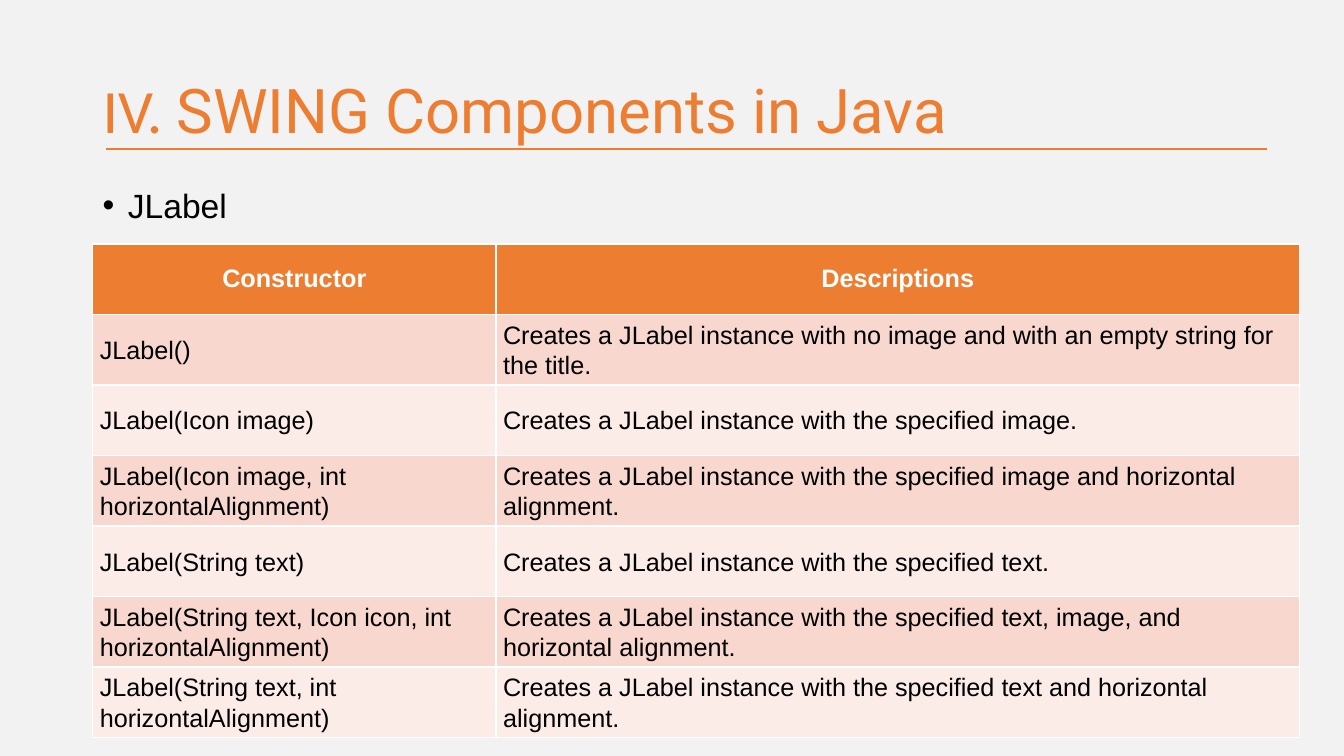
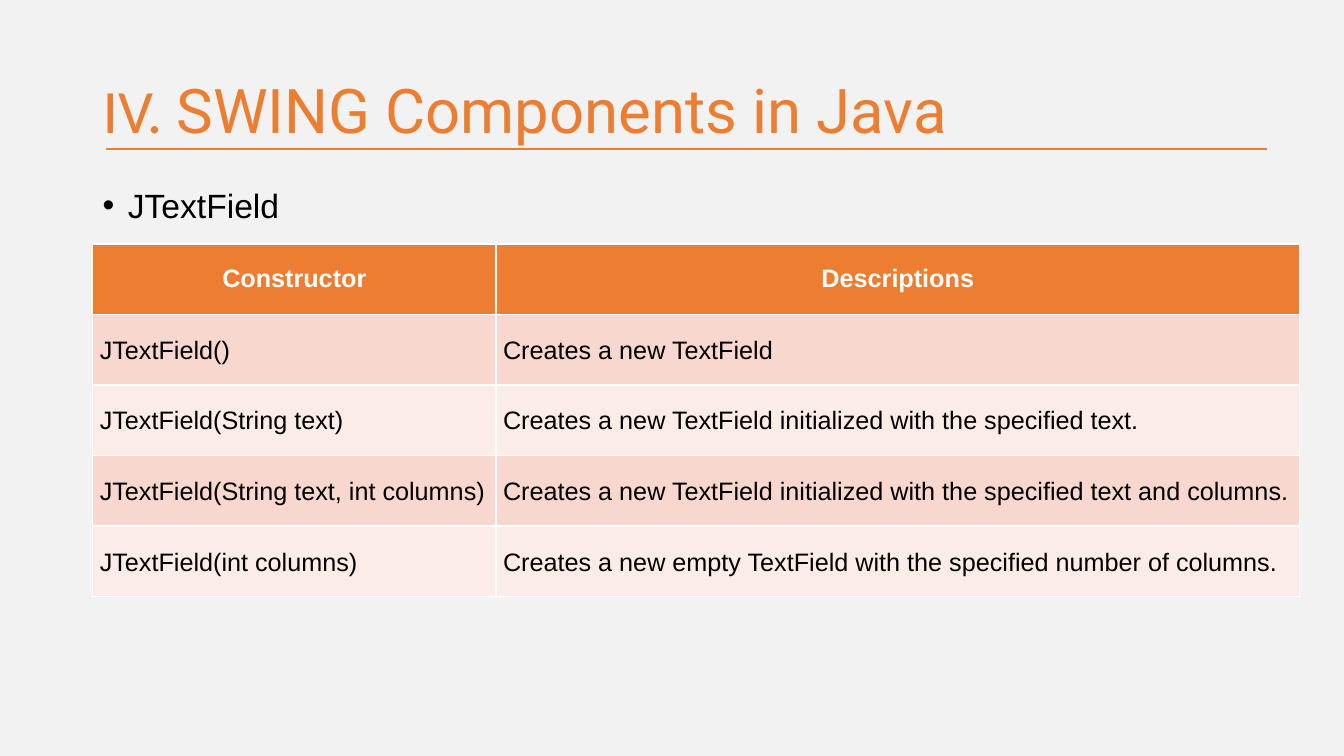
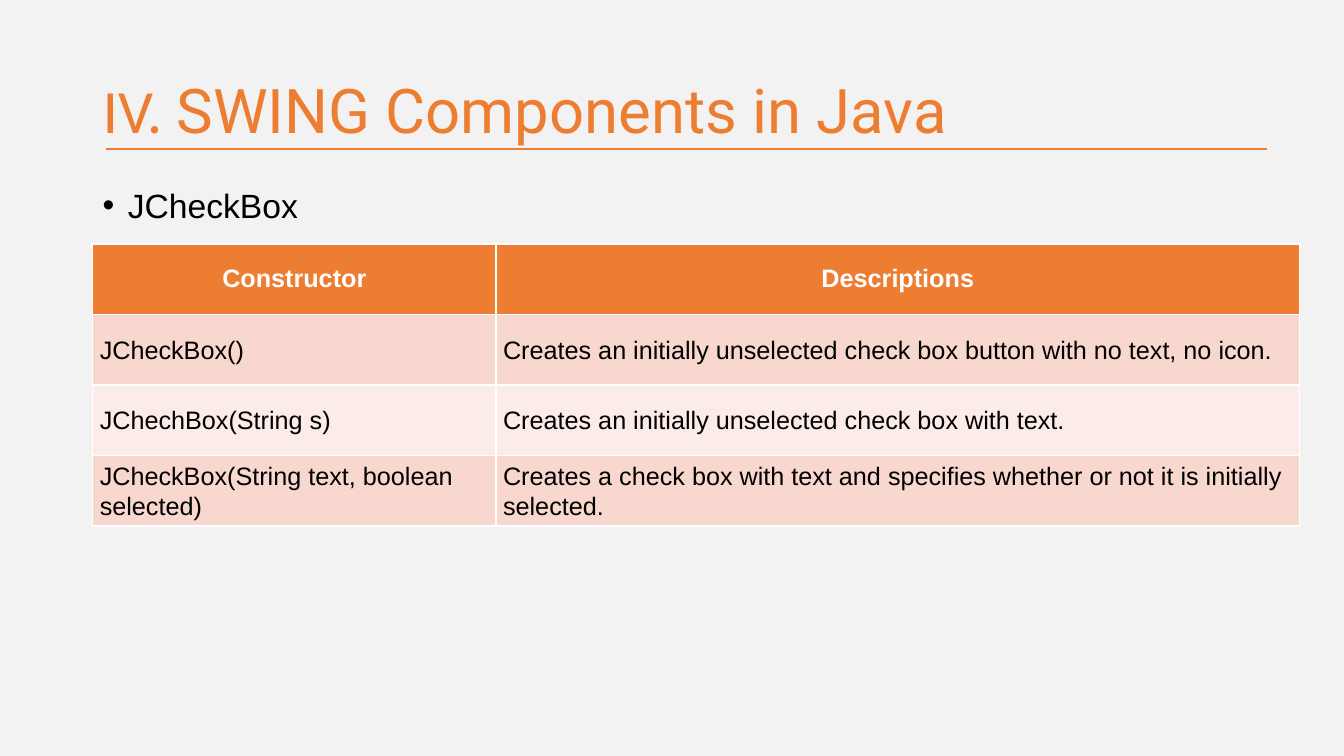
from lxml.etree import SubElement
from pptx import Presentation
from pptx.dml.color import RGBColor
from pptx.enum.shapes import MSO_CONNECTOR
from pptx.enum.text import MSO_ANCHOR, PP_ALIGN
from pptx.oxml.ns import qn
from pptx.util import Inches, Pt

ORANGE = RGBColor(0xED, 0x7D, 0x31)
PEACH = RGBColor(0xF8, 0xD7, 0xCE)
BLUSH = RGBColor(0xFC, 0xEC, 0xE8)
GREY = RGBColor(0xF2, 0xF2, 0xF2)
WHITE = RGBColor(0xFF, 0xFF, 0xFF)
BLACK = RGBColor(0x00, 0x00, 0x00)

WIDE, HIGH = Inches(13.33), Inches(7.5)
TITLE = [("IV. ", "Calibri"), ("SWING Components in Java", "Roboto")]
HEAD = ("Constructor", "Descriptions")
ROW = 9.33
SPLIT = 0.33

TOPICS = {
    "JLabel": [
        ("JLabel()", "Creates a JLabel instance with no image and with an empty string for the title."),
        ("JLabel(Icon image)", "Creates a JLabel instance with the specified image."),
        ("JLabel(Icon image, int horizontalAlignment)",
         "Creates a JLabel instance with the specified image and horizontal alignment."),
        ("JLabel(String text)", "Creates a JLabel instance with the specified text."),
        ("JLabel(String text, Icon icon, int horizontalAlignment)",
         "Creates a JLabel instance with the specified text, image, and horizontal alignment."),
        ("JLabel(String text, int horizontalAlignment)",
         "Creates a JLabel instance with the specified text and horizontal alignment."),
    ],
    "JTextField": [
        ("JTextField()", "Creates a new TextField"),
        ("JTextField(String text)", "Creates a new TextField initialized with the specified text."),
        ("JTextField(String text, int columns)",
         "Creates a new TextField initialized with the specified text and columns."),
        ("JTextField(int columns)", "Creates a new empty TextField with the specified number of columns."),
    ],
    "JCheckBox": [
        ("JCheckBox()", "Creates an initially unselected check box button with no text, no icon."),
        ("JChechBox(String s)", "Creates an initially unselected check box with text."),
        ("JCheckBox(String text, boolean selected)",
         "Creates a check box with text and specifies whether or not it is initially selected."),
    ],
}


def area(left, top, width, height):
    return [int(share * side / 100) for share, side in
            zip((left, top, width, height), (WIDE, HIGH, WIDE, HIGH))]


def style(run, size, color, name="Arial", bold=False):
    font = run.font
    font.size, font.name, font.bold = Pt(size), name, bold
    font.color.rgb = color


def add_title(slide, box):
    frame = slide.shapes.add_textbox(*box).text_frame
    frame.word_wrap = True
    frame.vertical_anchor = MSO_ANCHOR.MIDDLE
    para = frame.paragraphs[0]
    para.line_spacing = 0.9
    for text, name in TITLE:
        run = para.add_run()
        run.text = text
        style(run, 44, ORANGE, name)


def add_rule(slide, box):
    left, top, width, height = box
    rule = slide.shapes.add_connector(
        MSO_CONNECTOR.STRAIGHT, left, top, left + width, top + height)
    rule.line.color.rgb = ORANGE
    rule.line.width = Pt(1.5)
    SubElement(rule._element.spPr, qn("a:effectLst"))


def add_topic(slide, box, text):
    frame = slide.shapes.add_textbox(*box).text_frame
    frame.word_wrap = True
    para = frame.paragraphs[0]
    para.text = text
    para.line_spacing = 1.5
    para.space_before = Pt(10)
    style(para.runs[0], 24, BLACK)
    props = para._p.get_or_add_pPr()
    props.set("marL", str(Inches(0.25)))
    props.set("indent", str(-Inches(0.25)))
    SubElement(props, qn("a:buFont")).set("typeface", "Arial")
    SubElement(props, qn("a:buChar")).set("char", "•")


def fill_cell(cell, text, row):
    cell.vertical_anchor = MSO_ANCHOR.MIDDLE
    cell.fill.solid()
    para = cell.text_frame.paragraphs[0]
    para.text = text
    if row == 0:
        cell.fill.fore_color.rgb = ORANGE
        para.alignment = PP_ALIGN.CENTER
        style(para.runs[0], 18, WHITE, bold=True)
    else:
        cell.fill.fore_color.rgb = PEACH if row % 2 else BLUSH
        cell.margin_left = cell.margin_right = Inches(0.07)
        cell.margin_top = cell.margin_bottom = 0
        para.line_spacing = 1.07
        style(para.runs[0], 18, BLACK)


def add_grid(slide, box, rows):
    table = slide.shapes.add_table(len(rows), len(HEAD), *box).table
    first, second = table.columns
    first.width = int(box[2] * SPLIT) + Inches(0.05)
    second.width = box[2] - first.width
    for row, texts in enumerate(rows):
        for col, text in enumerate(texts):
            fill_cell(table.cell(row, col), text, row)


def add_page(deck, topic, items):
    slide = deck.slides.add_slide(deck.slide_layouts[6])
    rows = [HEAD, *items]
    add_rule(slide, area(7.88, 19.73, 86.42, 0))
    add_title(slide, area(6.9, 5.33, 86.25, 19.33))
    add_topic(slide, area(6.9, 21.07, 86.25, 76.13), topic)
    add_grid(slide, area(6.9, 32.27, 89.8, ROW * len(rows)), rows)


def main():
    deck = Presentation()
    deck.slide_width, deck.slide_height = WIDE, HIGH
    back = deck.slide_master.background.fill
    back.solid()
    back.fore_color.rgb = GREY
    for topic, items in TOPICS.items():
        add_page(deck, topic, items)
    deck.save("out.pptx")


if __name__ == "__main__":
    main()
